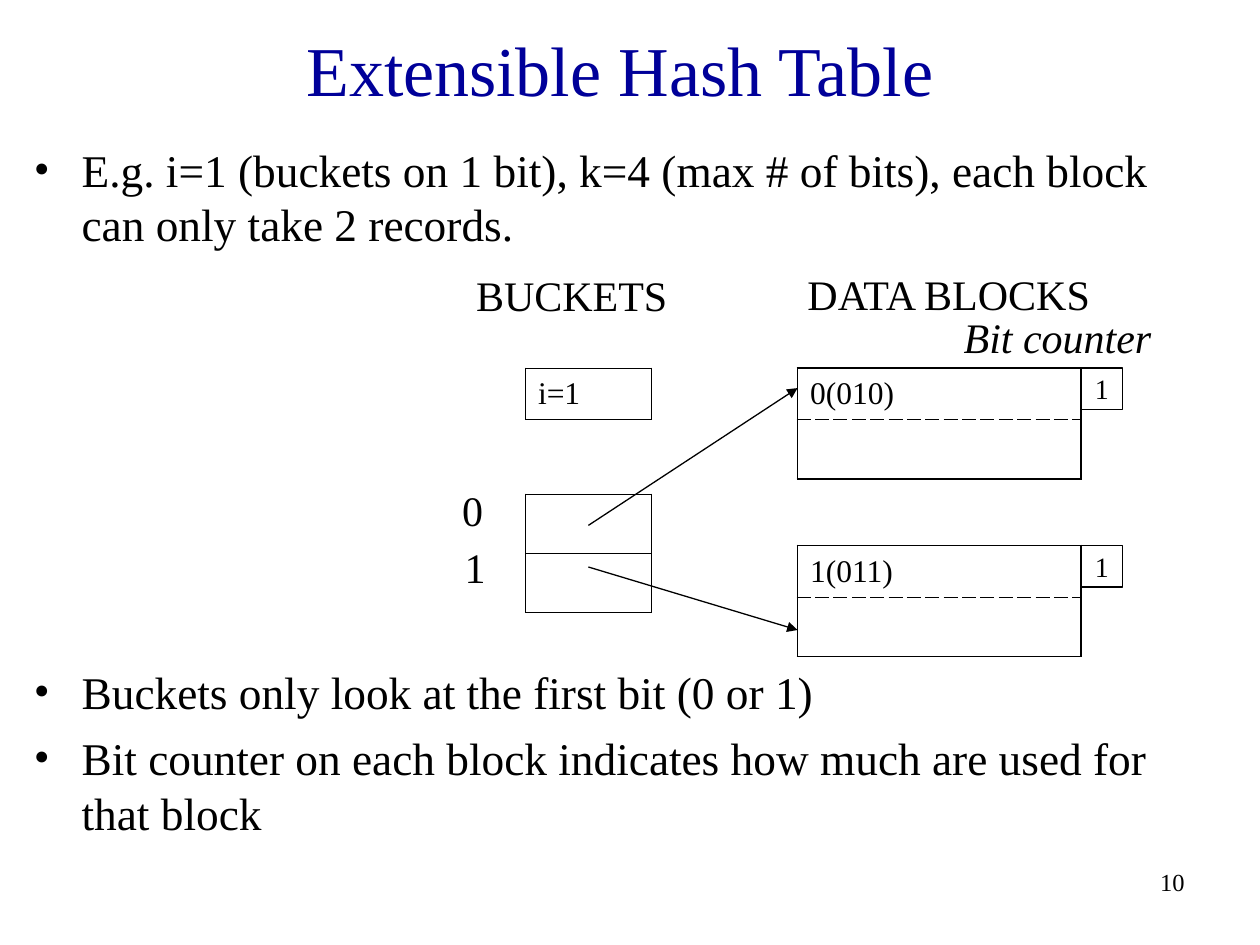
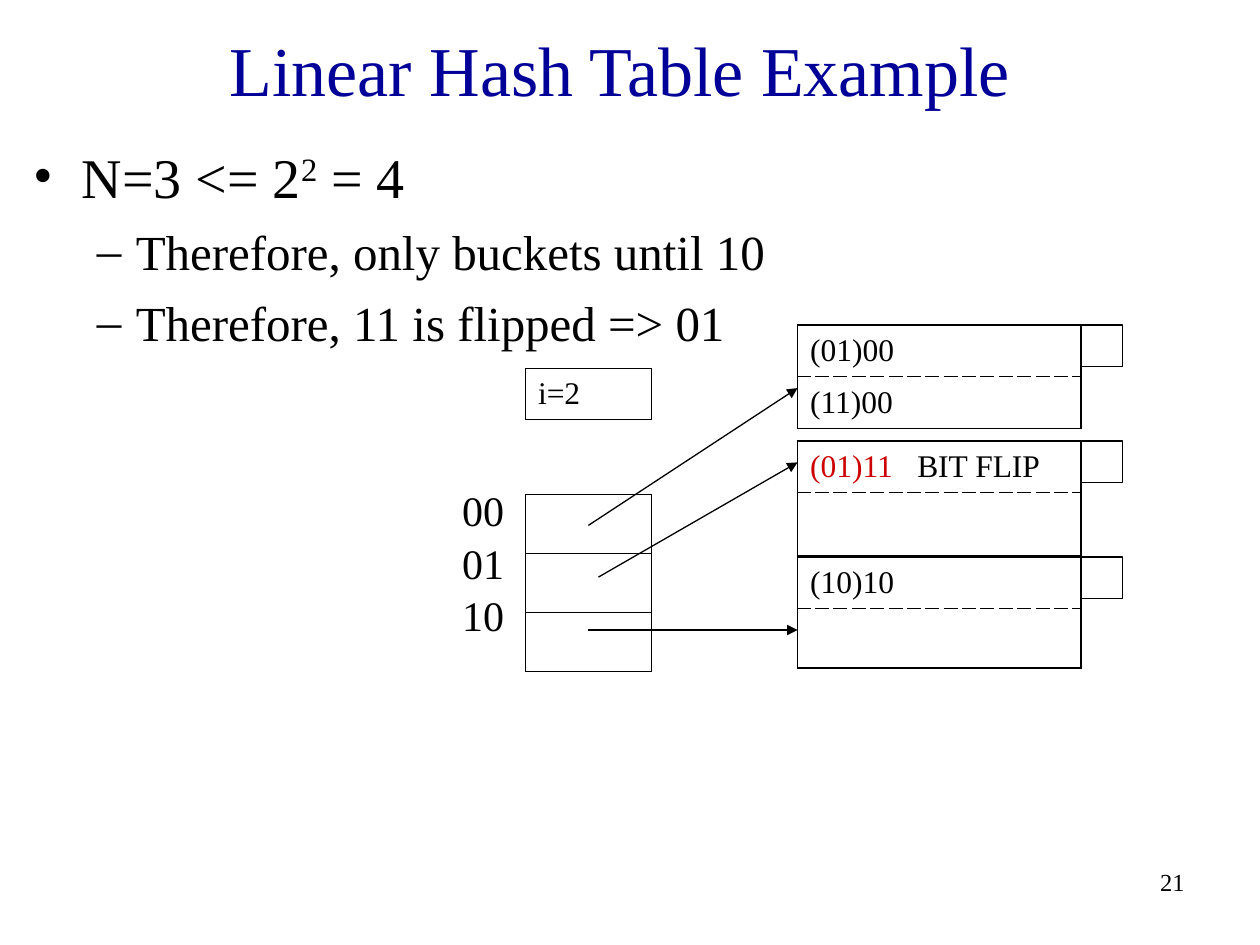
from dataclasses import dataclass
from typing import Optional

from lxml.etree import SubElement
from pptx import Presentation
from pptx.dml.color import RGBColor
from pptx.enum.shapes import MSO_CONNECTOR, MSO_SHAPE
from pptx.enum.text import MSO_ANCHOR, PP_ALIGN
from pptx.oxml.ns import qn
from pptx.util import Inches, Pt

FONT = "Times New Roman"
BLACK = RGBColor(0x00, 0x00, 0x00)
NAVY = RGBColor(0x00, 0x00, 0x99)
RED = RGBColor(0xCC, 0x00, 0x00)

BLOCK_LEFT, BLOCK_WIDTH = 6.33, 2.25
BUCKET_LEFT, BUCKET_WIDTH = 4.17, 1.0
BUCKET_TOP, INDEX_TOP = 3.92, 2.92
FILLED_ROW, EMPTY_ROW = 0.41, 0.47
COUNTER_SIZE = 0.33


@dataclass(frozen=True)
class Run:
    """A stretch of text in one style."""
    text: str
    color: RGBColor = BLACK
    italic: bool = False
    superscript: bool = False


@dataclass(frozen=True)
class Bullet:
    """A bulleted paragraph with its size and spacing."""
    runs: tuple[Run, ...]
    size: float = 25.9
    mark: str = "•"
    margin: float = 0.38
    hanging: float = 0.38
    space_before: float = 7


@dataclass(frozen=True)
class Label:
    """A short caption at a position."""
    text: str
    left: float
    top: float
    width: float
    italic: bool = False


@dataclass(frozen=True)
class DataBlock:
    """A block of two records with a bit counter at its side."""
    top: float
    first: tuple[Run, ...]
    second: tuple[Run, ...] = ()
    counter: str = ""
    empty_height: float = EMPTY_ROW
    tab: Optional[float] = None


@dataclass(frozen=True)
class Arrow:
    """A pointer from a bucket to the left side of a data block."""
    left: float
    top: float
    end_top: float


@dataclass(frozen=True)
class HashSlide:
    """The content of one hash table slide."""
    title: str
    number: str
    bullets: tuple[tuple[float, tuple[Bullet, ...]], ...]
    index: str
    bucket_count: int
    labels: tuple[Label, ...]
    blocks: tuple[DataBlock, ...]
    arrows: tuple[Arrow, ...]


def add_runs(paragraph, runs: tuple[Run, ...], size: float) -> None:
    """Append the runs to a paragraph."""
    for item in runs:
        run = paragraph.add_run()
        run.text = item.text
        font = run.font
        font.name, font.size, font.italic = FONT, Pt(size), item.italic
        font.color.rgb = item.color
        if item.superscript:
            run._r.get_or_add_rPr().set("baseline", "30000")


def add_text(slide, left: float, top: float, width: float, height: float,
             wrap: bool = True):
    """Add an empty text box and return its text frame."""
    box = slide.shapes.add_textbox(
        Inches(left), Inches(top), Inches(width), Inches(height))
    box.text_frame.word_wrap = wrap
    return box.text_frame


def add_bullets(slide, top: float, bullets: tuple[Bullet, ...]) -> None:
    """Draw a group of bulleted paragraphs."""
    frame = add_text(slide, 0.17, top, 9.5, 1.7)
    for position, bullet in enumerate(bullets):
        paragraph = frame.add_paragraph() if position else frame.paragraphs[0]
        properties = paragraph._p.get_or_add_pPr()
        properties.set("marL", str(Inches(bullet.margin)))
        properties.set("indent", str(-Inches(bullet.hanging)))
        SubElement(properties, qn("a:buFont"), typeface=FONT)
        SubElement(properties, qn("a:buChar"), char=bullet.mark)
        if position:
            paragraph.space_before = Pt(bullet.space_before)
        add_runs(paragraph, bullet.runs, bullet.size)


def set_border(cell, side: str, width: float, dashed: bool = False) -> None:
    """Draw one border line of a cell."""
    line = SubElement(cell._tc.get_or_add_tcPr(), qn(f"a:ln{side}"),
                      w=str(Pt(width)))
    fill = SubElement(line, qn("a:solidFill"))
    SubElement(fill, qn("a:srgbClr"), val=str(BLACK))
    SubElement(line, qn("a:prstDash"), val="dash" if dashed else "solid")


def add_column(slide, left: float, top: float, width: float,
               rows: tuple[tuple[Run, ...], ...], heights: tuple[float, ...],
               border: float, dashed: bool = False,
               tab: Optional[float] = None) -> None:
    """Draw a table of one column, with a dashed divider on request."""
    table = slide.shapes.add_table(
        len(rows), 1, Inches(left), Inches(top), Inches(width),
        Inches(sum(heights))).table
    table.first_row = table.horz_banding = False
    for position, (runs, height) in enumerate(zip(rows, heights)):
        table.rows[position].height = Inches(height)
        cell = table.cell(position, 0)
        cell.vertical_anchor = MSO_ANCHOR.MIDDLE
        inner = {"T": dashed and position > 0,
                 "B": dashed and position < len(rows) - 1}
        for side in "LRTB":
            divider = inner.get(side, False)
            set_border(cell, side, 0.45 if divider else border, divider)
        cell.fill.background()
        paragraph = cell.text_frame.paragraphs[0]
        if tab and runs:
            stops = SubElement(paragraph._p.get_or_add_pPr(), qn("a:tabLst"))
            SubElement(stops, qn("a:tab"), pos=str(Inches(tab)), algn="l")
        add_runs(paragraph, runs, 18)


def add_block(slide, block: DataBlock) -> None:
    """Draw a data block and its bit counter."""
    lower = FILLED_ROW if block.second else block.empty_height
    add_column(slide, BLOCK_LEFT, block.top, BLOCK_WIDTH,
               (block.first, block.second), (FILLED_ROW, lower), 1.08,
               dashed=True, tab=block.tab)
    shape = slide.shapes.add_shape(
        MSO_SHAPE.RECTANGLE, Inches(BLOCK_LEFT + BLOCK_WIDTH),
        Inches(block.top), Inches(COUNTER_SIZE), Inches(COUNTER_SIZE))
    shape.shadow.inherit = False
    shape.fill.background()
    shape.line.color.rgb, shape.line.width = BLACK, Pt(0.75)
    if block.counter:
        frame = shape.text_frame
        frame.word_wrap = False
        frame.vertical_anchor = MSO_ANCHOR.MIDDLE
        frame.paragraphs[0].alignment = PP_ALIGN.CENTER
        add_runs(frame.paragraphs[0], (Run(block.counter),), 16)


def add_arrow(slide, arrow: Arrow) -> None:
    """Draw an arrow to the data blocks."""
    connector = slide.shapes.add_connector(
        MSO_CONNECTOR.STRAIGHT, Inches(arrow.left), Inches(arrow.top),
        Inches(BLOCK_LEFT), Inches(arrow.end_top))
    connector.line.color.rgb, connector.line.width = BLACK, Pt(0.75)
    SubElement(connector.line._get_or_add_ln(), qn("a:tailEnd"),
               type="triangle")
    SubElement(connector._element.spPr, qn("a:effectLst"))


def add_slide(presentation, content: HashSlide) -> None:
    """Build one slide from its content."""
    slide = presentation.slides.add_slide(presentation.slide_layouts[6])
    number = add_text(slide, 7.42, 6.83, 2.08, 0.5).paragraphs[0]
    number.alignment = PP_ALIGN.RIGHT
    add_runs(number, (Run(content.number),), 14)
    title = add_text(slide, 0.17, 0.17, 9.5, 0.75)
    title.vertical_anchor = MSO_ANCHOR.MIDDLE
    title.paragraphs[0].alignment = PP_ALIGN.CENTER
    add_runs(title.paragraphs[0], (Run(content.title, NAVY),), 40)
    for top, bullets in content.bullets:
        add_bullets(slide, top, bullets)
    for block in content.blocks:
        add_block(slide, block)
    add_column(slide, BUCKET_LEFT, BUCKET_TOP, BUCKET_WIDTH,
               ((),) * content.bucket_count,
               (EMPTY_ROW,) * content.bucket_count, 0.45)
    add_column(slide, BUCKET_LEFT, INDEX_TOP, BUCKET_WIDTH,
               ((Run(content.index),),), (FILLED_ROW,), 0.45)
    for arrow in content.arrows:
        add_arrow(slide, arrow)
    for label in content.labels:
        frame = add_text(slide, label.left, label.top, label.width, 0.5, False)
        add_runs(frame.paragraphs[0],
                 (Run(label.text, italic=label.italic),), 24)


def sub_bullet(text: str) -> Bullet:
    """Return a second-level bullet."""
    return Bullet((Run(text),), 28, "–", 0.81, 0.31)


EXTENSIBLE = HashSlide(
    title="Extensible Hash Table",
    number="10",
    bullets=(
        (1.08, (Bullet((Run("E.g. i=1 (buckets on 1 bit), k=4 (max # of bits), "
                            "each block can only take 2 records."),)),)),
        (5.22, (Bullet((Run("Buckets only look at the first bit (0 or 1)"),)),
                Bullet((Run("Bit counter on each block indicates how much "
                            "are used for that block"),)))),
    ),
    index="i=1",
    bucket_count=2,
    labels=(
        Label("0", 3.57, 3.8, 0.36),
        Label("1", 3.59, 4.25, 0.36),
        Label("BUCKETS", 3.68, 2.09, 1.72),
        Label("DATA BLOCKS", 6.31, 2.08, 2.52),
        Label("Bit counter", 7.55, 2.42, 1.7, italic=True),
    ),
    blocks=(
        DataBlock(2.92, (Run("0(010)"),), counter="1"),
        DataBlock(4.33, (Run("1(011)"),), counter="1"),
    ),
    arrows=(Arrow(4.67, 4.17, 3.08), Arrow(4.67, 4.5, 5)),
)

LINEAR = HashSlide(
    title="Linear Hash Table Example",
    number="21",
    bullets=(
        (1.08, (Bullet((Run("N=3 <= 2"), Run("2", superscript=True),
                        Run(" = 4")), 32),
                sub_bullet("Therefore, only buckets until 10"),
                sub_bullet("Therefore, 11 is flipped => 01"))),
    ),
    index="i=2",
    bucket_count=3,
    labels=tuple(Label(text, 3.57, 3.8 + 0.415 * position, 0.53)
                 for position, text in enumerate(("00", "01", "10"))),
    blocks=(
        DataBlock(2.58, (Run("(01)00"),), (Run("(11)00"),)),
        DataBlock(4.42, (Run("(10)10"),)),
        DataBlock(3.5, (Run("(01)11", RED), Run("\tBIT FLIP")),
                  empty_height=0.5, tab=0.85),
    ),
    arrows=(Arrow(4.67, 4.17, 3.08), Arrow(4.67, 5, 5),
            Arrow(4.75, 4.58, 3.67)),
)


def main() -> None:
    """Build and save the presentation."""
    presentation = Presentation()
    presentation.slide_width, presentation.slide_height = Inches(10), Inches(7.5)
    for content in (EXTENSIBLE, LINEAR):
        add_slide(presentation, content)
    presentation.save("out.pptx")


if __name__ == "__main__":
    main()
